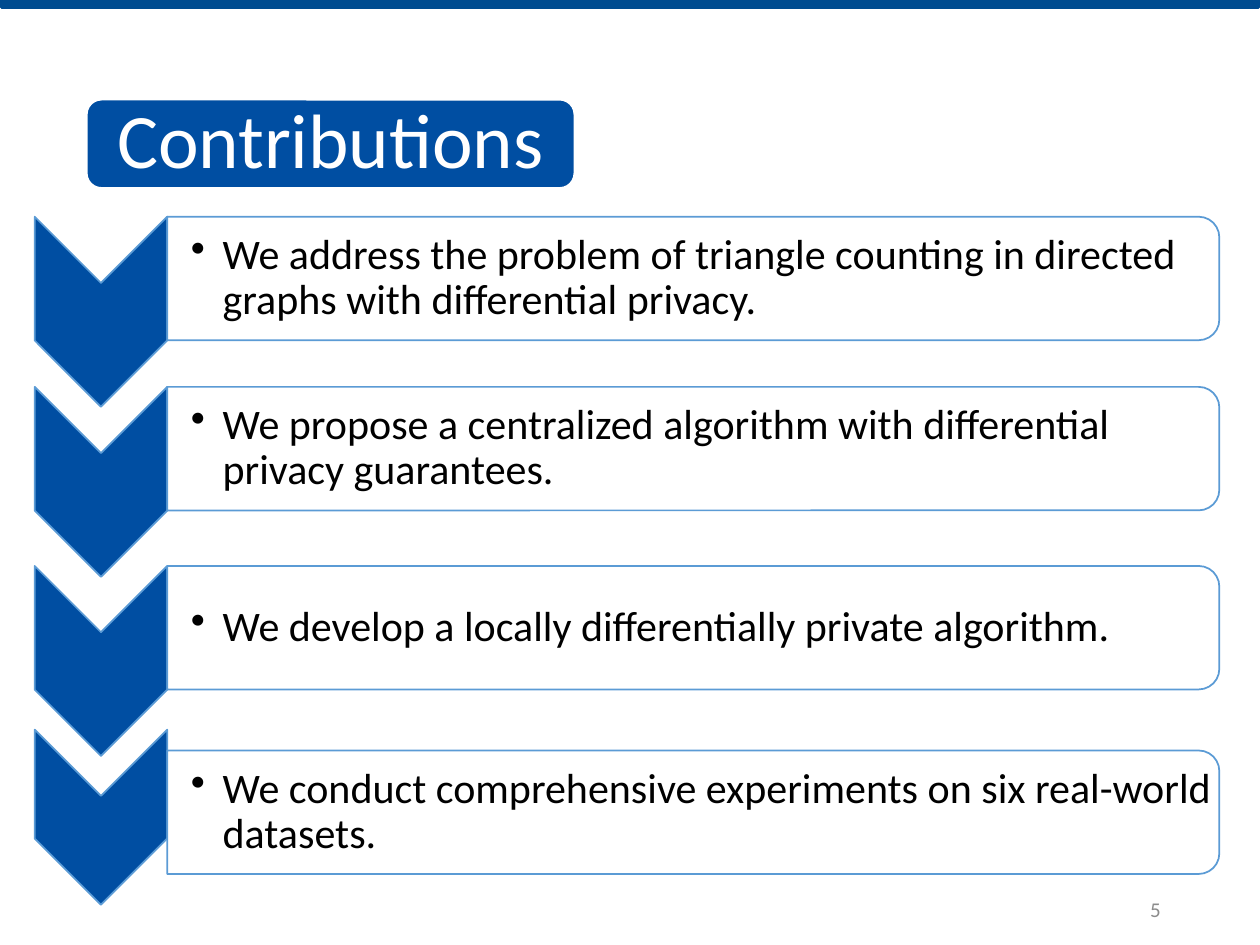
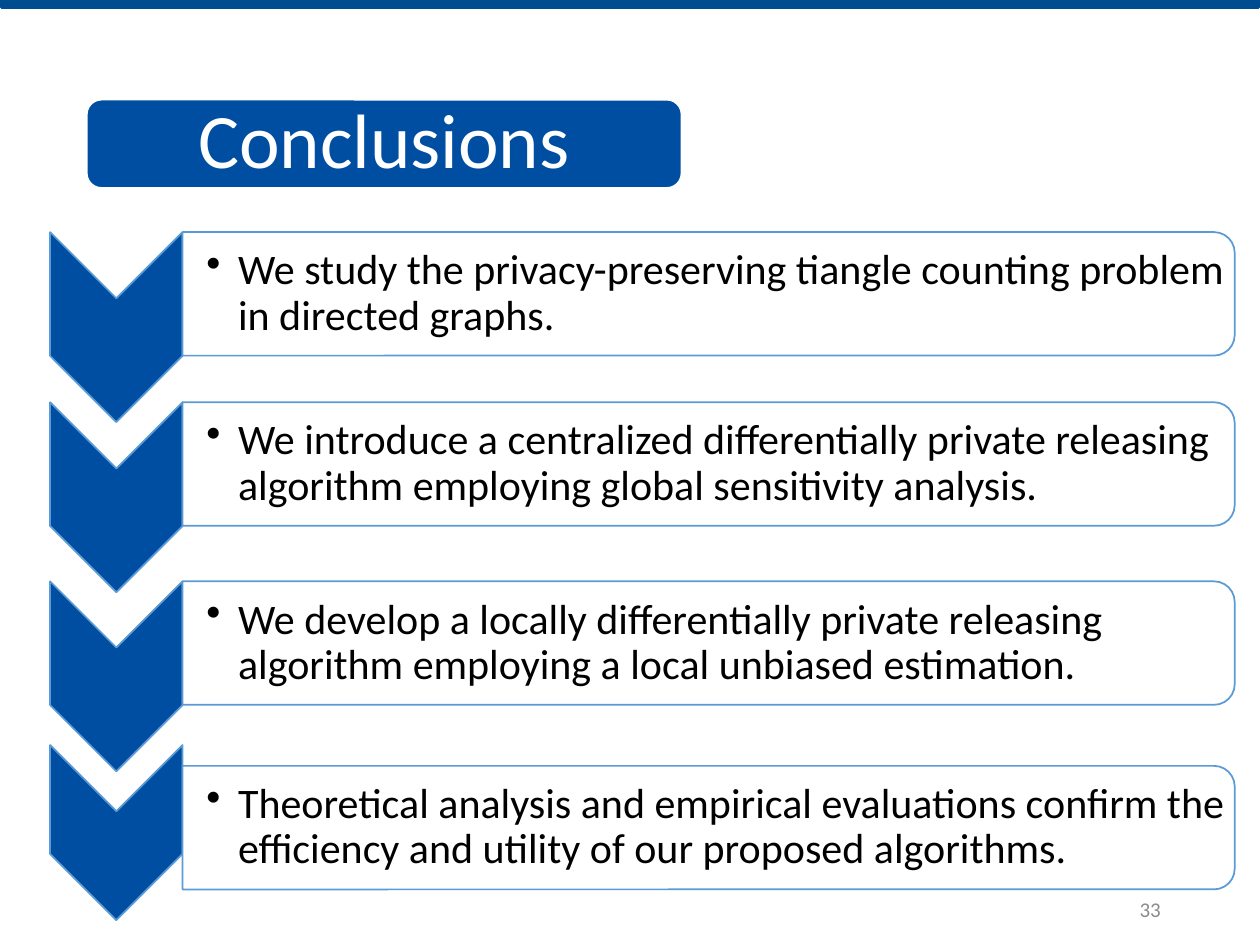
import pptx
import pptx.util
import pptx.dml.color
import pptx.enum.shapes
import pptx.enum.text
from lxml import etree

Cm, Pt = pptx.util.Cm, pptx.util.Pt
SHAPE = pptx.enum.shapes.MSO_SHAPE
ALIGN = pptx.enum.text.PP_ALIGN

# Content
SLIDES = [
    {"title": "Contributions", "title_w": 9.83, "page": "5", "left": 0.7, "top": 4.37,
     "points": [
         "We address the problem of triangle counting in directed graphs with differential privacy.",
         "We propose a centralized algorithm with differential privacy guarantees.",
         "We develop a locally differentially private algorithm.",
         "We conduct comprehensive experiments on six real-world datasets."]},
    {"title": "Conclusions", "title_w": 11.99, "page": "33", "left": 1.01, "top": 4.68,
     "points": [
         "We study the privacy-preserving tiangle counting problem in directed graphs.",
         "We introduce a centralized differentially private releasing algorithm "
         "employing global sensitivity analysis.",
         "We develop a locally differentially private releasing algorithm "
         "employing a local unbiased estimation.",
         "Theoretical analysis and empirical evaluations confirm the efficiency "
         "and utility of our proposed algorithms."]},
]

# Shared look
COLORS = {"band": "004C90", "main": "004EA2", "edge": "5B9BD5",
          "white": "FFFFFF", "text": "000000", "page": "8C8C8C"}
FONT = "Calibri"
SLIDE_W, SLIDE_H = 25.4, 19.05

# Rows below the first top: (chevron offset, chevron height, bar offset)
ROWS = [(0, 3.83, 0), (3.43, 3.83, 3.43), (7.04, 3.83, 7.04), (10.34, 3.53, 10.76)]
CHEVRON_W = 2.67
BAR_W, BAR_H = 21.21, 2.49
TEXT_W, TEXT_H = 21.1, 2.24


def rgb(name):
    return pptx.dml.color.RGBColor.from_string(COLORS[name])


def add_shape(s, kind, x, y, w, h, fill, line=None, rotation=0):
    """Place a shape by the box it covers on the slide, also when turned."""
    if rotation % 180:
        x, y, w, h = x + (w - h) / 2, y + (h - w) / 2, h, w
    sp = s.shapes.add_shape(kind, Cm(x), Cm(y), Cm(w), Cm(h))
    sp.rotation = rotation
    sp.shadow.inherit = False
    sp.fill.solid()
    sp.fill.fore_color.rgb = rgb(fill)
    if line:
        sp.line.color.rgb = rgb(line)
        sp.line.width = Pt(1)
    else:
        sp.line.fill.background()
    return sp


def write(sp, text, size, color, align=ALIGN.LEFT, insets=(0.25, 0.13, 0.25, 0.13),
          spacing=1.0, wrap=True, bullet=False):
    tf = sp.text_frame
    tf.word_wrap = wrap
    tf.vertical_anchor = pptx.enum.text.MSO_ANCHOR.MIDDLE
    tf.margin_left, tf.margin_top, tf.margin_right, tf.margin_bottom = map(Cm, insets)
    p = tf.paragraphs[0]
    p.alignment = align
    p.line_spacing = spacing
    if bullet:
        pPr = p._p.get_or_add_pPr()
        indent = Cm(0.64)
        pPr.set("marL", str(indent))
        pPr.set("indent", str(-indent))
        etree.SubElement(pPr, pptx.oxml.ns.qn("a:buChar")).set("char", "•")
    r = p.add_run()
    r.text = text
    r.font.name, r.font.size = FONT, Pt(size)
    r.font.color.rgb = rgb(color)


def add_text(s, x, y, w, h, text, **style):
    write(s.shapes.add_textbox(Cm(x), Cm(y), Cm(w), Cm(h)), text, **style)


def add_frame(s, title, title_w, page):
    """Top band, page number and title plate."""
    add_shape(s, SHAPE.SNIP_2_SAME_RECTANGLE, 0, 0, SLIDE_W, 0.18, "band", rotation=180)
    add_text(s, 17.93, 17.81, 5.72, 1.02, page, size=12, color="page", align=ALIGN.RIGHT)
    plate = add_shape(s, SHAPE.ROUNDED_RECTANGLE, 1.75, 2.01, title_w, 1.78, "main", "white")
    write(plate, title, size=44, color="white", align=ALIGN.CENTER,
          insets=(0.3, 0, 0.3, 0), spacing=0.9, wrap=False)


def add_points(s, points, left, top):
    """Column of chevrons, each with a bar holding one point."""
    bar_x = left + CHEVRON_W
    for point, (chevron_dy, chevron_h, bar_dy) in zip(points, ROWS):
        add_shape(s, SHAPE.CHEVRON, left, top + chevron_dy, CHEVRON_W, chevron_h,
                  "main", "edge", rotation=90)
        bar_y = top + bar_dy
        add_shape(s, SHAPE.ROUND_2_SAME_RECTANGLE, bar_x, bar_y, BAR_W, BAR_H,
                  "white", "edge", rotation=90)
        add_text(s, bar_x, bar_y + (BAR_H - TEXT_H) / 2, TEXT_W, TEXT_H, point,
                 size=24, color="text", insets=(0.48, 0.05, 0.03, 0.05),
                 spacing=0.9, bullet=True)


def main():
    prs = pptx.Presentation()
    prs.slide_width, prs.slide_height = Cm(SLIDE_W), Cm(SLIDE_H)
    for content in SLIDES:
        s = prs.slides.add_slide(prs.slide_layouts[6])
        add_frame(s, content["title"], content["title_w"], content["page"])
        add_points(s, content["points"], content["left"], content["top"])
    prs.save("out.pptx")


if __name__ == "__main__":
    main()
